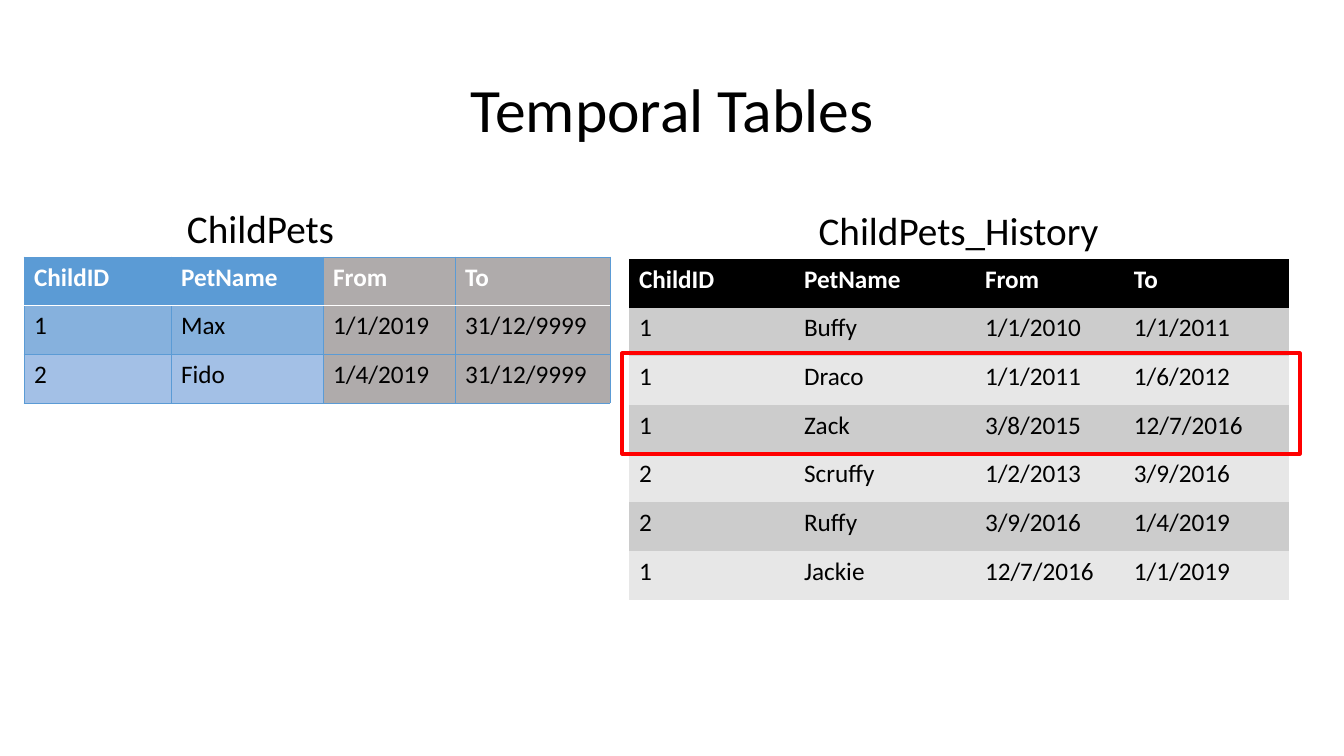
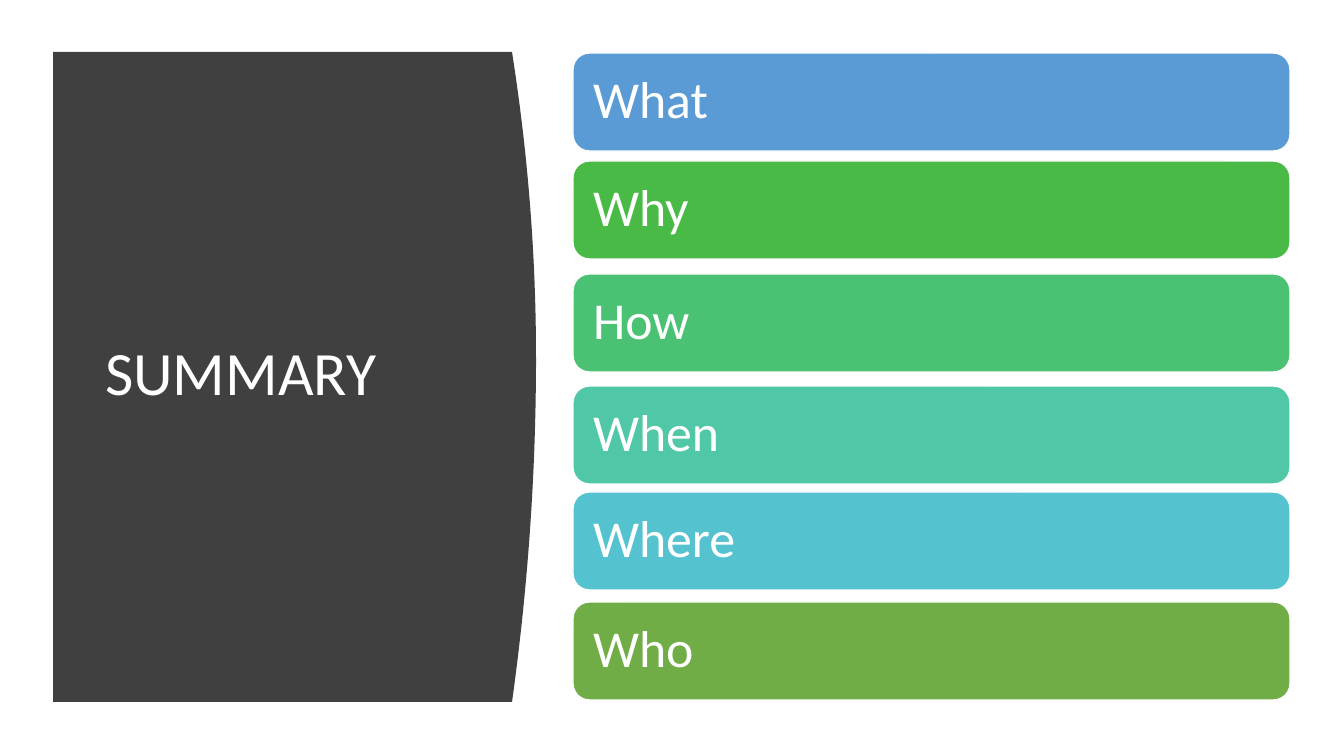
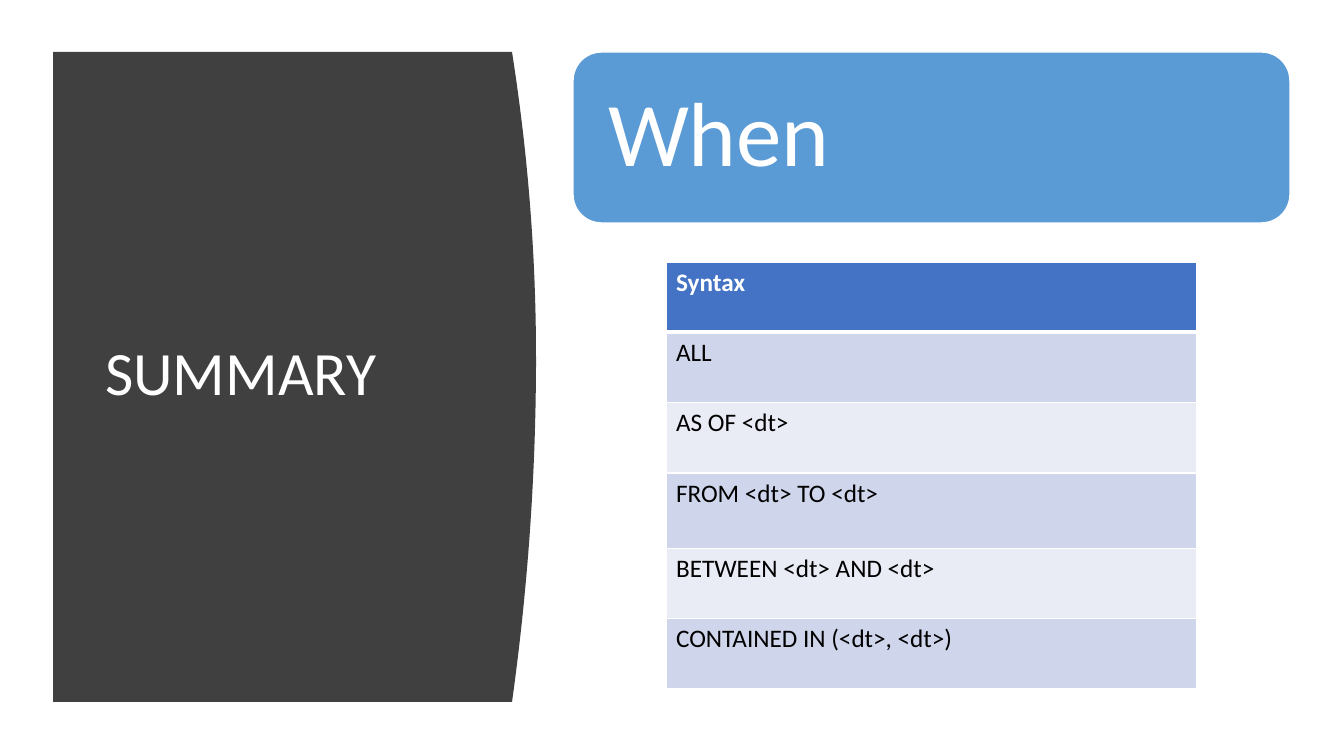
from lxml.etree import SubElement
from pptx import Presentation
from pptx.dml.color import RGBColor
from pptx.enum.shapes import MSO_SHAPE as SHAPE
from pptx.enum.text import MSO_ANCHOR as ANCHOR, MSO_AUTO_SIZE as FIT, PP_ALIGN as ALIGN
from pptx.oxml.ns import qn
from pptx.util import Emu, Pt

PIXEL = 914400 / 100.8
FONT = "Calibri"
PLAIN_TABLE = "{2D5ABB26-0587-4C30-8999-92F81FD0307C}"
COLORS = {
    "black": "000000", "white": "FFFFFF", "panel": "404040", "red": "FF0000",
    "blue": "5B9BD5", "blue_mid": "86B1DD", "blue_pale": "A3C0E6", "period": "AFABAB",
    "gray_dark": "CCCCCC", "gray_pale": "E7E7E7",
    "syntax": "4472C4", "syntax_dark": "CFD5EA", "syntax_pale": "E9EBF5",
    "green": "4ABA46", "emerald": "4BC174", "mint": "50C8A7", "teal": "55C3CF",
    "olive": "70AD47",
}
PANEL_BOX = (53, 52, 483, 650)
SUMMARY_BOX = (95, 112, 377, 528)
BAR_LEFT, BAR_WIDTH = 573, 717


def length(pixels):
    """Turn pixels into EMU."""
    return Emu(round(pixels * PIXEL))


def rgb(name):
    """Look up a palette colour."""
    return RGBColor.from_string(COLORS[name])


def set_all(target, values):
    """Set each attribute in a dict of format values."""
    for name, value in values.items():
        setattr(target, name, value)


def write(frame, text, size, color, bold=False, align=ALIGN.LEFT, spacing=None):
    """Write one formatted paragraph into a text frame."""
    para = frame.paragraphs[0]
    set_all(para, {"alignment": align, "line_spacing": spacing})
    span = para.add_run()
    span.text = text
    set_all(span.font, {"name": FONT, "size": Pt(size), "bold": bold})
    span.font.color.rgb = rgb(color)


def paint(shape, fill=None, line=None, width=1):
    """Give a shape its fill and line, without a shadow."""
    shape.shadow.inherit = False
    if fill:
        shape.fill.solid()
        shape.fill.fore_color.rgb = rgb(fill)
    else:
        shape.fill.background()
    if line:
        shape.line.color.rgb = rgb(line)
        shape.line.width = Pt(width)
    else:
        shape.line.fill.background()


def add_title(page, box, text, color, align):
    """Move the title placeholder into the box and fill it."""
    title = page.shapes.title
    set_all(title, dict(zip(("left", "top", "width", "height"), map(length, box))))
    set_all(title.text_frame, {"word_wrap": True, "auto_size": FIT.NONE,
                               "vertical_anchor": ANCHOR.MIDDLE})
    write(title.text_frame, text, 44, color, align=align, spacing=0.9)


def add_caption(page, box, text):
    """Add a centred table caption."""
    frame = page.shapes.add_textbox(*map(length, box)).text_frame
    frame.word_wrap = False
    write(frame, text, 28, "black", align=ALIGN.CENTER)


def add_edge(cell, side, color, width):
    """Draw one border of a cell; side is L, R, T or B."""
    properties = cell._tc.get_or_add_tcPr()
    line = SubElement(properties, qn(f"a:ln{side}"), w=str(Pt(width)))
    SubElement(SubElement(line, qn("a:solidFill")), qn("a:srgbClr"), val=COLORS[color])


def add_grid(page, box, rows, columns, fill_of, weights=None, edge=None, header_edge=None):
    """Add a table; fill_of(row, column) names each cell's colour."""
    weights = weights or [1] * len(rows)
    holder = page.shapes.add_table(len(rows), len(columns), *map(length, box))
    for style in holder.element.iter(qn("a:tableStyleId")):
        style.text = PLAIN_TABLE
    table = holder.table
    set_all(table, {"first_row": False, "horz_banding": False})
    for column, width in zip(table.columns, columns):
        column.width = length(width)
    for row, weight in zip(table.rows, weights):
        row.height = length(box[3] * weight / sum(weights))
    for r, texts in enumerate(rows):
        for c, text in enumerate(texts):
            cell = table.cell(r, c)
            if edge:
                for side in "LRTB":
                    under_header = (r, side) in ((0, "B"), (1, "T"))
                    add_edge(cell, side, *(header_edge if under_header else edge))
            cell.fill.solid()
            cell.fill.fore_color.rgb = rgb(fill_of(r, c))
            write(cell.text_frame, text, 18, "black" if r else "white", bold=r == 0)


def banded(header, odd, even):
    """Return a fill rule with a header and alternating rows."""
    return lambda r, c: header if r == 0 else (odd if r % 2 else even)


def add_panel(page, box):
    """Add the dark panel with a bulging right edge behind the title."""
    left, top, width, height = box
    bulge, apex, steps = 24, 0.47, 48
    points = [(left, top)]
    for step in range(steps + 1):
        along = step / steps
        reach = apex if along < apex else 1 - apex
        inset = bulge * ((along - apex) / reach) ** 2
        points.append((left + width - inset, top + height * along))
    points.append((left, top + height))
    start, *others = [(length(x), length(y)) for x, y in points]
    outline = page.shapes.build_freeform(*start)
    outline.add_line_segments(others, close=True)
    panel = outline.convert_to_shape()
    paint(panel, "panel")
    page.shapes.title.element.addprevious(panel.element)


def add_bar(page, box, text, fill, size, inset):
    """Add a rounded bar with a large label."""
    bar = page.shapes.add_shape(SHAPE.ROUNDED_RECTANGLE, *map(length, box))
    paint(bar, fill, "white")
    # The preset's text area already sits inside its corners.
    corner = box[3] / 6 * 0.29
    margin = length(inset - corner)
    set_all(bar.text_frame, {"word_wrap": True, "vertical_anchor": ANCHOR.MIDDLE,
                             "margin_left": margin, "margin_right": margin,
                             "margin_top": 0, "margin_bottom": 0})
    write(bar.text_frame, text, size, "white", spacing=0.9)


def new_page(deck):
    """Add a title-only slide."""
    return deck.slides.add_slide(deck.slide_layouts[5])


def summary_page(deck):
    """Add a slide with the summary panel on the left."""
    page = new_page(deck)
    add_panel(page, PANEL_BOX)
    add_title(page, SUMMARY_BOX, "SUMMARY", "white", ALIGN.LEFT)
    return page


def temporal_page(deck):
    """Show the current table beside its history."""
    page = new_page(deck)
    add_title(page, (93, 40, 1159, 146), "Temporal Tables", "black", ALIGN.CENTER)
    header = ("ChildID", "PetName", "From", "To")
    pets = [header,
            ("1", "Max", "1/1/2019", "31/12/9999"),
            ("2", "Fido", "1/4/2019", "31/12/9999")]
    history = [header,
               ("1", "Buffy", "1/1/2010", "1/1/2011"),
               ("1", "Draco", "1/1/2011", "1/6/2012"),
               ("1", "Zack", "3/8/2015", "12/7/2016"),
               ("2", "Scruffy", "1/2/2013", "3/9/2016"),
               ("2", "Ruffy", "3/9/2016", "1/4/2019"),
               ("1", "Jackie", "12/7/2016", "1/1/2019")]
    blues = banded("blue", "blue_mid", "blue_pale")
    add_grid(page, (24, 257, 586, 146), pets, (147, 152, 132, 155),
             lambda r, c: "period" if c > 1 else blues(r, c),
             edge=("blue", 0.5), header_edge=("white", 1))
    add_caption(page, (176, 199, 169, 57), "ChildPets")
    add_grid(page, (629, 259, 660, 341), history, (165, 181, 149, 165),
             banded("black", "gray_dark", "gray_pale"))
    add_caption(page, (807, 201, 303, 57), "ChildPets_History")
    highlight = page.shapes.add_shape(SHAPE.RECTANGLE, *map(length, (622, 353, 678, 101)))
    paint(highlight, line="red", width=2.25)


def questions_page(deck):
    """List the six questions as coloured bars."""
    page = summary_page(deck)
    bars = [("What", "blue", 53), ("Why", "green", 161), ("How", "emerald", 274),
            ("When", "mint", 386), ("Where", "teal", 492), ("Who", "olive", 602)]
    for text, fill, top in bars:
        add_bar(page, (BAR_LEFT, top, BAR_WIDTH, 98), text, fill, 37, 20)


def when_page(deck):
    """Show the syntax for choosing a time."""
    page = summary_page(deck)
    add_bar(page, (BAR_LEFT, 52, BAR_WIDTH, 171), "When", "blue", 65, 35)
    syntax = ["Syntax", "ALL", "AS OF <dt>", "FROM <dt> TO <dt>",
              "BETWEEN <dt> AND <dt>", "CONTAINED IN (<dt>, <dt>)"]
    add_grid(page, (666, 262, 531, 427), [(text,) for text in syntax], (531,),
             banded("syntax", "syntax_dark", "syntax_pale"),
             weights=(14, 14, 14, 15, 14, 14),
             edge=("white", 1), header_edge=("white", 3))


deck = Presentation()
set_all(deck, {"slide_width": length(1344), "slide_height": length(756)})
for build in (temporal_page, questions_page, when_page):
    build(deck)
deck.save("out.pptx")
